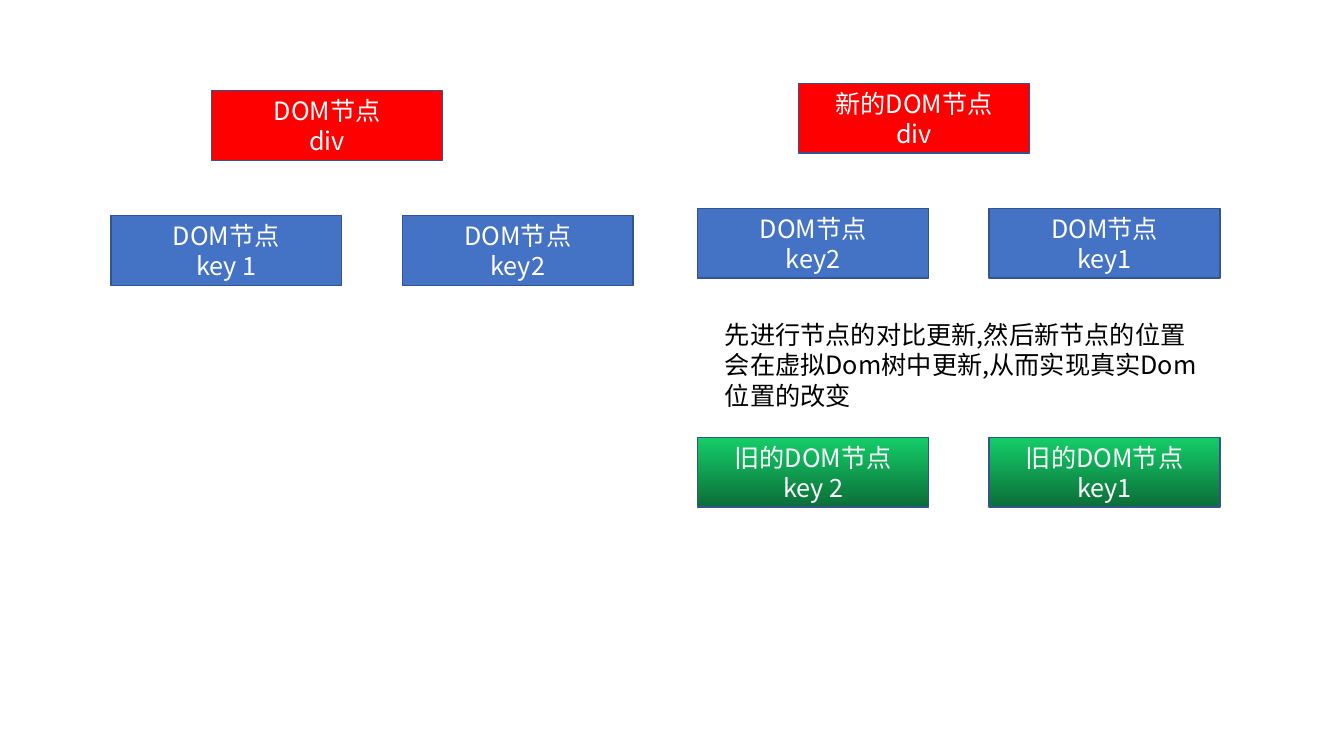
from dataclasses import dataclass

from lxml.etree import SubElement
from pptx import Presentation
from pptx.dml.color import RGBColor
from pptx.enum.shapes import MSO_SHAPE
from pptx.enum.text import MSO_ANCHOR, MSO_AUTO_SIZE, PP_ALIGN
from pptx.oxml.ns import qn
from pptx.util import Inches, Pt


@dataclass(frozen=True)
class Theme:
    font: str = "Noto Sans CJK SC"
    text_size: int = 18
    root: tuple = ("FF0000",)
    child: tuple = ("4472C4",)
    old: tuple = ("14CD68", "0B6E38")  # top to bottom
    outline: str = "325491"
    node_text: str = "FFFFFF"
    note_text: str = "000000"


class DomSlide:
    NODE_WIDTH, NODE_HEIGHT = 2.29, 0.69

    def __init__(self, slide, theme):
        self.slide = slide
        self.theme = theme

    def add_run(self, paragraph, text, color):
        run = paragraph.add_run()
        run.text = text
        run.font.size = Pt(self.theme.text_size)
        run.font.color.rgb = RGBColor.from_string(color)
        run.font.name = self.theme.font
        # East Asian characters take their font from a separate element
        SubElement(run.font._element, qn("a:ea"), typeface=self.theme.font)

    def paint(self, fill, colors):
        if len(colors) == 1:
            fill.solid()
            fill.fore_color.rgb = RGBColor.from_string(colors[0])
            return
        fill.gradient()
        fill.gradient_angle = 270
        for stop, position, color in zip(fill.gradient_stops, (0, 1), colors):
            stop.position = position
            stop.color.rgb = RGBColor.from_string(color)

    def node(self, left, top, title, label, colors):
        box = self.slide.shapes.add_shape(
            MSO_SHAPE.RECTANGLE, Inches(left), Inches(top),
            Inches(self.NODE_WIDTH), Inches(self.NODE_HEIGHT))
        box.shadow.inherit = False
        self.paint(box.fill, colors)
        box.line.color.rgb = RGBColor.from_string(self.theme.outline)
        box.line.width = Pt(1)
        frame = box.text_frame
        frame.vertical_anchor = MSO_ANCHOR.MIDDLE
        for paragraph, text in zip((frame.paragraphs[0], frame.add_paragraph()),
                                   (title, label)):
            paragraph.alignment = PP_ALIGN.CENTER
            self.add_run(paragraph, text, self.theme.node_text)

    def node_pair(self, left, top, title, labels, colors):
        for column, label in enumerate(labels):
            self.node(left + column * 2.89, top, title, label, colors)

    def tree(self, left, top, root_title, child_labels):
        self.node(left + 1, top, root_title, "div", self.theme.root)
        self.node_pair(left, top + 1.24, "DOM节点", child_labels, self.theme.child)

    def note(self, left, top, width, height, text):
        box = self.slide.shapes.add_textbox(
            Inches(left), Inches(top), Inches(width), Inches(height))
        frame = box.text_frame
        frame.word_wrap = True
        frame.auto_size = MSO_AUTO_SIZE.SHAPE_TO_FIT_TEXT
        self.add_run(frame.paragraphs[0], text, self.theme.note_text)


def main():
    presentation = Presentation()
    presentation.slide_width = Inches(13.33)
    presentation.slide_height = Inches(7.5)
    theme = Theme()
    page = DomSlide(
        presentation.slides.add_slide(presentation.slide_layouts[6]), theme)

    # Current tree and new tree
    new_left = 6.92
    page.tree(1.1, 0.9, "DOM节点", ("key 1", "key2"))
    page.tree(new_left, 0.83, "新的DOM节点", ("key2", "key1"))

    # Old nodes in their new order
    page.node_pair(new_left, 4.34, "旧的DOM节点", ("key 2", "key1"), theme.old)

    # Explanation
    page.note(7.09, 3.12, 5.01, 1.01,
              "先进行节点的对比更新,然后新节点的位置会在虚拟Dom树中更新,"
              "从而实现真实Dom位置的改变")

    presentation.save("out.pptx")


if __name__ == "__main__":
    main()
